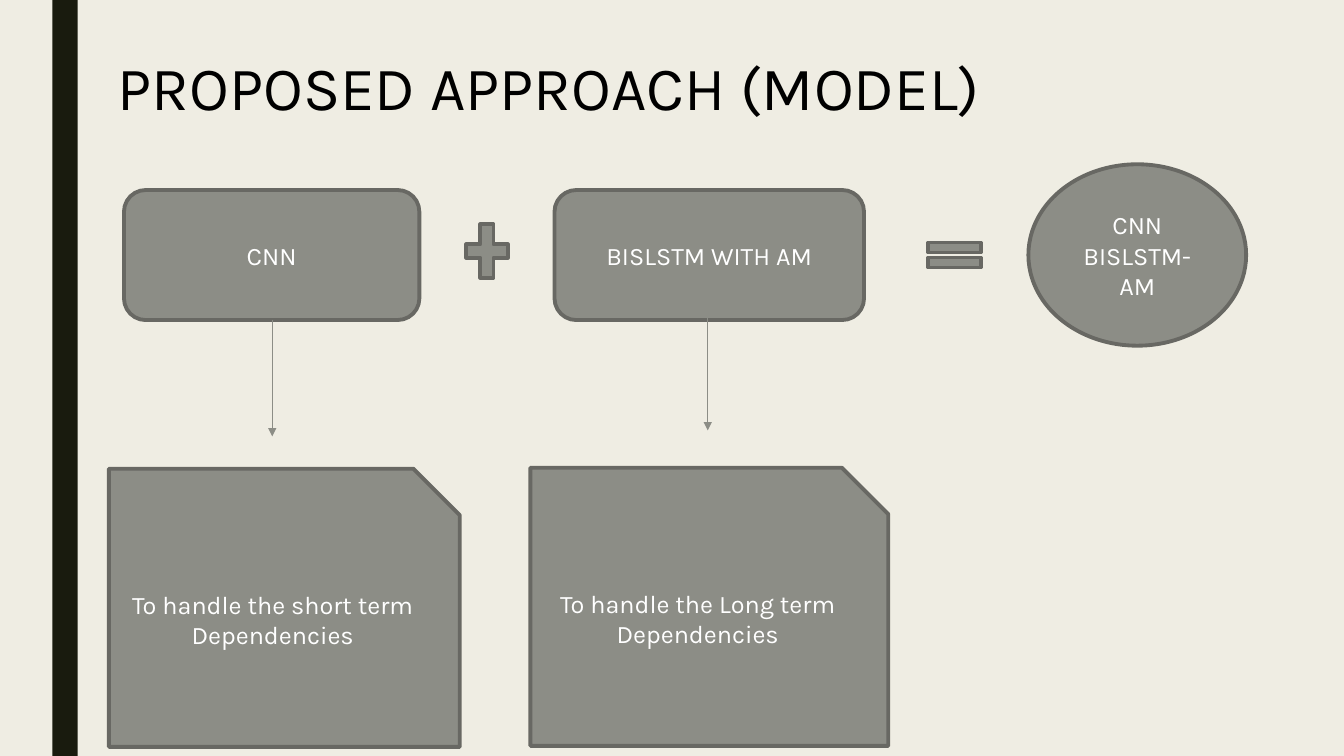
from lxml.etree import SubElement
from pptx import Presentation
from pptx.dml.color import RGBColor
from pptx.enum.shapes import MSO_CONNECTOR, MSO_SHAPE
from pptx.enum.text import MSO_ANCHOR, PP_ALIGN
from pptx.oxml.ns import qn
from pptx.util import Inches, Pt

PAPER, INK, GREY, EDGE = "EFEDE3", "191B0E", "8C8D86", "686863"
BODY_FORMAT = {"name": "Karla", "size": Pt(18)}
TITLE_FORMAT = {"name": "Karla", "size": Pt(44)}


def paint(color_format, hex_color):
    """Set a colour from a hex string."""
    color_format.rgb = RGBColor.from_string(hex_color)


def fill_with(fill, hex_color):
    """Make a fill solid in the given colour."""
    fill.solid()
    paint(fill.fore_color, hex_color)


def write(frame, text, font_format, hex_color):
    """Put one formatted paragraph in a text frame and return it."""
    frame.word_wrap = True
    paragraph = frame.paragraphs[0]
    run = paragraph.add_run()
    run.text = text
    for attribute, value in font_format.items():
        setattr(run.font, attribute, value)
    paint(run.font.color, hex_color)
    return paragraph


def add_block(slide, kind, box, text=""):
    """Draw a grey outlined shape in a box, with an optional centred label."""
    block = slide.shapes.add_shape(kind, *map(Inches, box))
    block.shadow.inherit = False
    fill_with(block.fill, GREY)
    paint(block.line.color, EDGE)
    block.line.width = Pt(2.75)
    if text:
        block.text_frame.vertical_anchor = MSO_ANCHOR.MIDDLE
        write(block.text_frame, text, BODY_FORMAT, "FFFFFF").alignment = PP_ALIGN.CENTER


def add_arrow(slide, x, top, length):
    """Draw a thin downward arrow."""
    arrow = slide.shapes.add_connector(
        MSO_CONNECTOR.STRAIGHT, *map(Inches, (x, top, x, top + length)))
    paint(arrow.line.color, GREY)
    arrow.line.width = Pt(0.5)
    SubElement(arrow.line._get_or_add_ln(), qn("a:tailEnd"), type="triangle")
    SubElement(arrow._element.spPr, qn("a:effectLst"))


def add_frame(slide, box):
    """Draw the background and the dark stripe."""
    fill_with(slide.background.fill, PAPER)
    stripe = slide.shapes.add_shape(MSO_SHAPE.RECTANGLE, *map(Inches, box))
    stripe.shadow.inherit = False
    fill_with(stripe.fill, INK)
    stripe.line.fill.background()


def add_title(slide, box, text):
    """Write the slide title."""
    title = slide.shapes.add_textbox(*map(Inches, box))
    write(title.text_frame, text, TITLE_FORMAT, "000000")


def add_equation(slide, box):
    """Draw the two models, their operators and the combined model."""
    left, top, width, height = box
    middle = top + height / 2
    parts = [
        (MSO_SHAPE.ROUNDED_RECTANGLE, 0, 2.93, 1.29, "CNN"),
        (MSO_SHAPE.MATH_PLUS, 3.32, 0.56, 0.72, ""),
        (MSO_SHAPE.ROUNDED_RECTANGLE, 4.27, 3.07, 1.29, "BISLSTM WITH AM"),
        (MSO_SHAPE.MATH_EQUAL, 7.88, 0.71, 0.42, ""),
        (MSO_SHAPE.OVAL, width - 2.16, 2.16, height, "CNN BISLSTM-AM"),
    ]
    for kind, offset, part_width, part_height, text in parts:
        part_top = middle - part_height / 2
        if kind == MSO_SHAPE.MATH_PLUS:
            part_top -= 0.04
        add_block(slide, kind, (left + offset, part_top, part_width, part_height), text)


def add_purpose(slide, box, arrow_x, span):
    """Draw a purpose card with the arrow that leads down to it."""
    left, top, width, height = box
    add_block(slide, MSO_SHAPE.SNIP_1_RECTANGLE, box,
              f"To handle the {span} term Dependencies")
    arrow_length, gap = 1.16, 0.32 if span == "short" else 0.37
    add_arrow(slide, arrow_x, top - gap - arrow_length, arrow_length)


def main():
    """Build and save the slide."""
    presentation = Presentation()
    presentation.slide_width = Inches(13.33)
    presentation.slide_height = Inches(7.5)
    slide = presentation.slides.add_slide(presentation.slide_layouts[6])
    add_frame(slide, (0.52, 0, 0.25, 7.5))
    add_title(slide, (1.07, 0.44, 8.86, 0.84), "PROPOSED APPROACH (MODEL)")
    add_equation(slide, (1.23, 1.63, 11.13, 1.8))
    add_purpose(slide, (1.08, 4.65, 3.48, 2.76), 2.7, "short")
    add_purpose(slide, (5.26, 4.64, 3.55, 2.76), 7.02, "Long")
    presentation.save("out.pptx")


if __name__ == "__main__":
    main()
